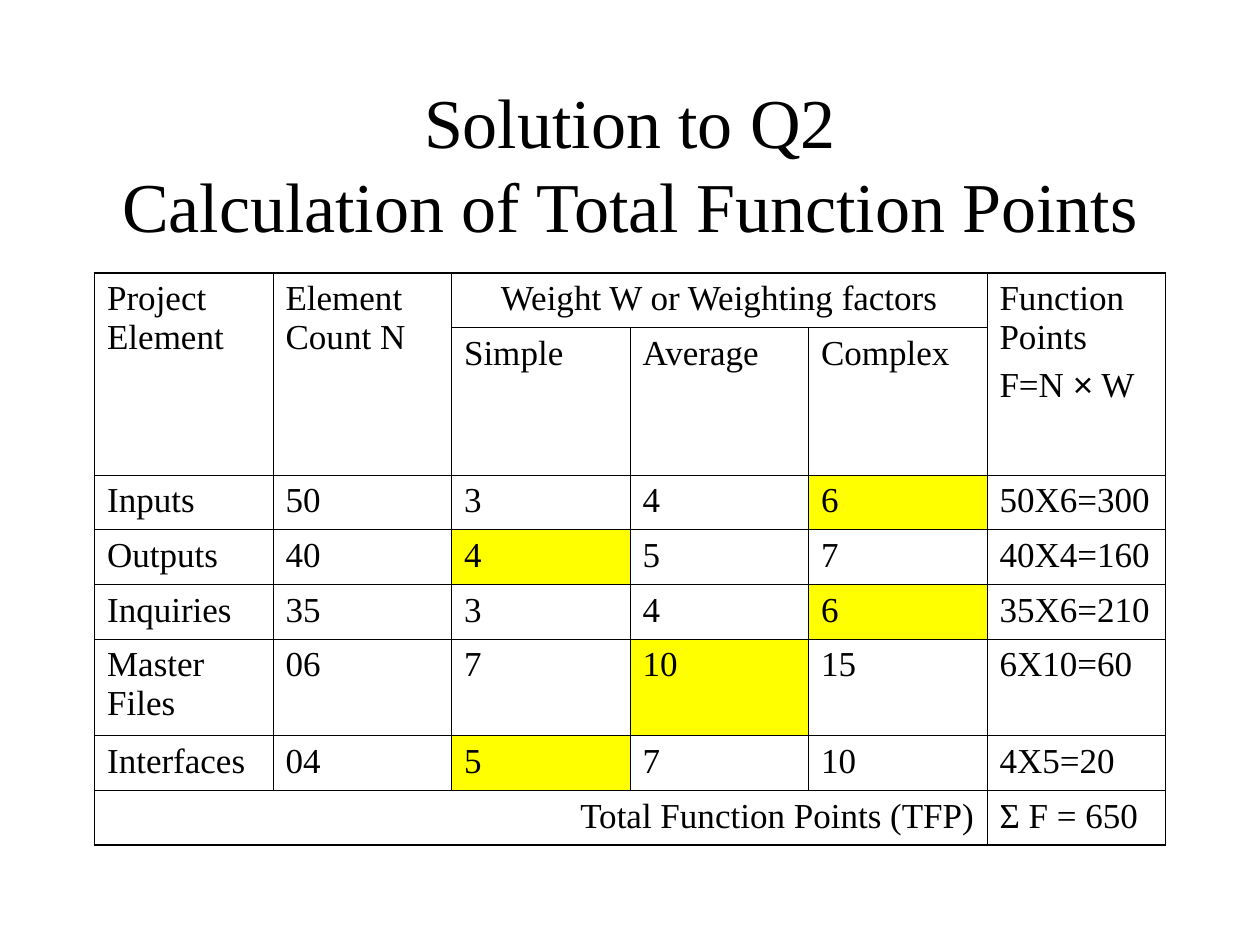
from lxml.etree import SubElement
from pptx import Presentation
from pptx.dml.color import RGBColor
from pptx.enum.text import MSO_ANCHOR, PP_ALIGN
from pptx.oxml.ns import qn
from pptx.util import Pt

BLACK, YELLOW = "000000", "FFFF00"
SERIF, SANS = "Times New Roman", "Arial"
THIN, THICK = 0.45, 1.08


def color(hex_string):
    return RGBColor.from_string(hex_string)


class SlideBuilder:
    """Holds the text style and the slide being filled."""

    text_size = 20
    title_size = 40
    title_break_size = 44
    paragraph_gap = 5

    def __init__(self, deck):
        self.slide = deck.slides.add_slide(deck.slide_layouts[6])

    def span(self, para, text, size, font=SERIF):
        span = para.add_run()
        span.text = text
        span.font.name = font
        span.font.size = Pt(size)
        span.font.color.rgb = color(BLACK)

    def title(self, lines, left, top, width, height):
        box = self.slide.shapes.add_textbox(Pt(left), Pt(top), Pt(width), Pt(height))
        frame = box.text_frame
        frame.word_wrap = True
        frame.vertical_anchor = MSO_ANCHOR.MIDDLE
        para = frame.paragraphs[0]
        para.alignment = PP_ALIGN.CENTER
        for index, line in enumerate(lines):
            if index:
                para.add_line_break()
                line_break = para._p.findall(qn("a:br"))[-1]
                SubElement(line_break, qn("a:rPr"), sz=str(self.title_break_size * 100))
            self.span(para, line, self.title_size)

    def table(self, left, top, column_width, row_heights, column_count):
        frame = self.slide.shapes.add_table(
            len(row_heights), column_count, Pt(left), Pt(top),
            Pt(column_width * column_count), Pt(sum(row_heights)))
        table = frame.table
        table.first_row = table.horz_banding = False
        for column in table.columns:
            column.width = Pt(column_width)
        for row, height in zip(table.rows, row_heights):
            row.height = Pt(height)
        return table

    def cell_text(self, cell, paragraphs, align=PP_ALIGN.LEFT):
        """Write paragraphs, each a list of (text, font) spans."""
        frame = cell.text_frame
        for index, spans in enumerate(paragraphs):
            para = frame.add_paragraph() if index else frame.paragraphs[0]
            if index:
                para.space_before = Pt(self.paragraph_gap)
            para.alignment = align
            for text, font in spans:
                self.span(para, text, self.text_size, font)

    def rule_cells(self, table):
        """Draw thin inner borders and a thick outer frame."""
        row_count, column_count = len(table.rows), len(table.columns)
        for row in range(row_count):
            for column in range(column_count):
                cell = table.cell(row, column)
                across = cell.span_width if cell.is_merge_origin else 1
                down = cell.span_height if cell.is_merge_origin else 1
                on_frame = {
                    "a:lnL": column == 0,
                    "a:lnR": column + across == column_count,
                    "a:lnT": row == 0,
                    "a:lnB": row + down == row_count,
                }
                properties = cell._tc.get_or_add_tcPr()
                for tag, outer in on_frame.items():
                    if cell.is_spanned and not outer:
                        continue
                    width = Pt(THICK if outer else THIN)
                    line = SubElement(properties, qn(tag), w=str(width))
                    fill = SubElement(line, qn("a:solidFill"))
                    SubElement(fill, qn("a:srgbClr"), val=BLACK)
                cell.fill.background()


def main():
    deck = Presentation()
    deck.slide_width, deck.slide_height = Pt(720), Pt(540)
    builder = SlideBuilder(deck)
    builder.title(["Solution to Q2", "Calculation of Total Function Points"],
                  54, 48, 612, 90)

    single, double = 29.5, 51.8
    heights = [single, 78.8, single, single, single, double, single, single]
    table = builder.table(54, 156, 102, heights, 6)
    merges = [((0, 0), (1, 0)), ((0, 1), (1, 1)), ((0, 2), (0, 4)),
              ((0, 5), (1, 5)), ((7, 0), (7, 4))]
    for first, last in merges:
        table.cell(*first).merge(table.cell(*last))
    builder.rule_cells(table)

    rows = [
        ["Project Element", "Element Count N", None, None, None, None],
        [None, None, "Simple", "Average", "Complex", None],
        ["Inputs", "50", "3", "4", "6", "50X6=300"],
        ["Outputs", "40", "4", "5", "7", "40X4=160"],
        ["Inquiries", "35", "3", "4", "6", "35X6=210"],
        ["Master Files", "06", "7", "10", "15", "6X10=60"],
        ["Interfaces", "04", "5", "7", "10", "4X5=20"],
        [None, None, None, None, None, "Σ F = 650"],
    ]
    for row, texts in enumerate(rows):
        for column, text in enumerate(texts):
            if text:
                builder.cell_text(table.cell(row, column), [[(text, SERIF)]])
    builder.cell_text(table.cell(0, 2), [[("Weight W or Weighting factors", SERIF)]],
                      PP_ALIGN.CENTER)
    builder.cell_text(table.cell(0, 5), [
        [("Function Points", SERIF)],
        [("F=N ", SERIF), ("×", SANS), (" W", SERIF)],
    ])
    builder.cell_text(table.cell(7, 0), [[("Total Function Points (TFP)", SERIF)]],
                      PP_ALIGN.RIGHT)

    chosen_weights = [(2, 4), (3, 2), (4, 4), (5, 3), (6, 2)]
    for position in chosen_weights:
        fill = table.cell(*position).fill
        fill.solid()
        fill.fore_color.rgb = color(YELLOW)

    deck.save("out.pptx")


if __name__ == "__main__":
    main()
